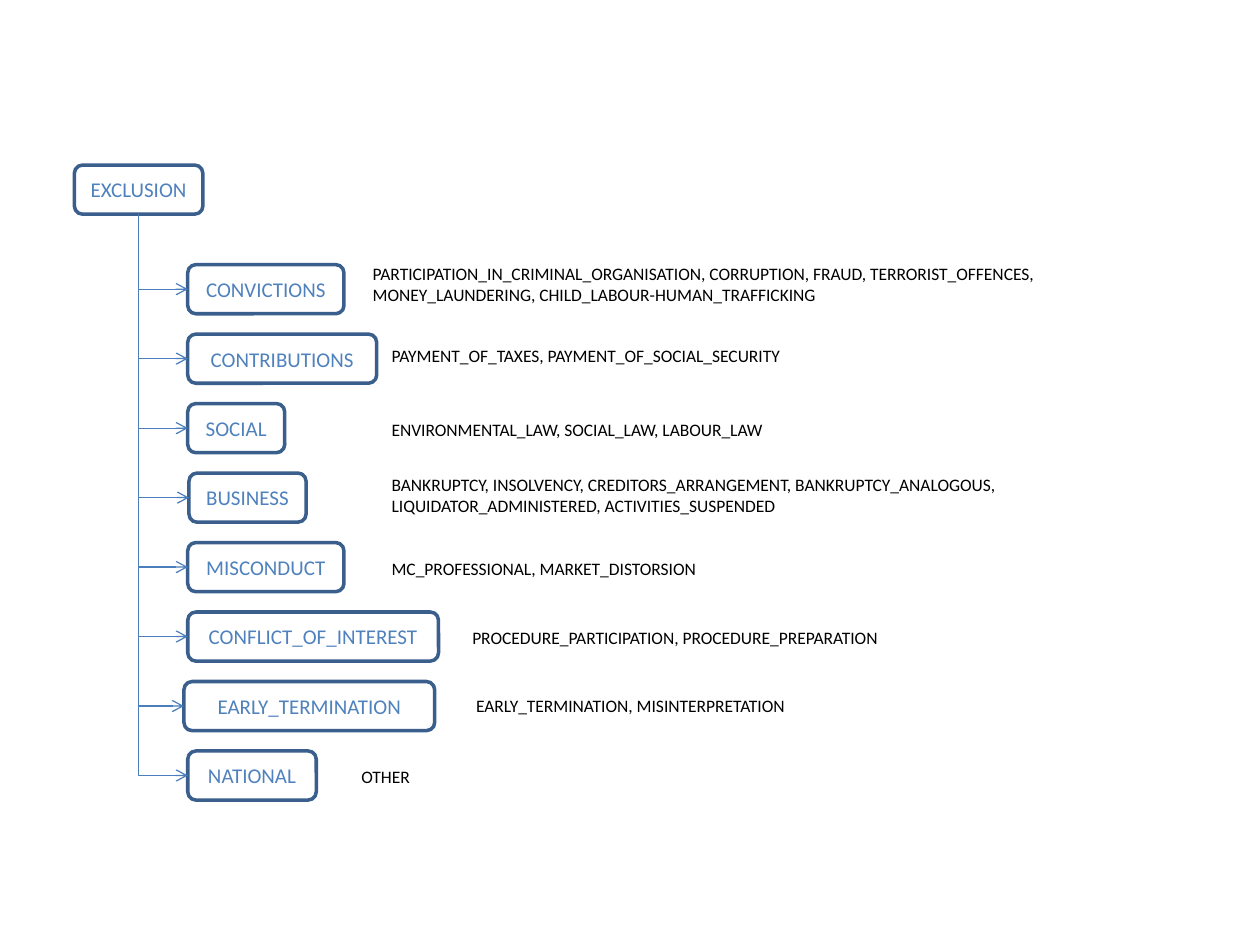
import dataclasses

import lxml.etree
import pptx
import pptx.dml.color
import pptx.enum.shapes
import pptx.enum.text
import pptx.oxml.ns
import pptx.util
from pptx.util import Inches


@dataclasses.dataclass(frozen=True)
class Theme:
    font: str = "Calibri"
    box_size: int = 12
    note_size: int = 10
    box_text: str = "4F81BD"
    box_line: str = "3A5F8C"
    connector: str = "4B7EBC"
    note_text: str = "000000"


theme = Theme()
color = pptx.dml.color.RGBColor.from_string
qn = pptx.oxml.ns.qn

BOX_HEIGHT = 0.39
FIRST_TOP, LAST_TOP = 2.1, 5.96

# Criterion: name, box left, box width, note left, note top, note width, note lines
criteria = [
    ("CONVICTIONS", 1.49, 1.24, 2.86, 2.04, 5.6,
     ["PARTICIPATION_IN_CRIMINAL_ORGANISATION, CORRUPTION, FRAUD, TERRORIST_OFFENCES,",
      "MONEY_LAUNDERING, CHILD_LABOUR-HUMAN_TRAFFICKING"]),
    ("CONTRIBUTIONS", 1.49, 1.5, 3.01, 2.69, 3.38,
     ["PAYMENT_OF_TAXES, PAYMENT_OF_SOCIAL_SECURITY"]),
    ("SOCIAL", 1.49, 0.77, 3.01, 3.28, 3.24,
     ["ENVIRONMENTAL_LAW, SOCIAL_LAW, LABOUR_LAW"]),
    ("BUSINESS", 1.5, 0.93, 3.01, 3.71, 5.16,
     ["BANKRUPTCY, INSOLVENCY, CREDITORS_ARRANGEMENT, BANKRUPTCY_ANALOGOUS,",
      "LIQUIDATOR_ADMINISTERED, ACTIVITIES_SUSPENDED"]),
    ("MISCONDUCT", 1.49, 1.24, 3.01, 4.38, 2.66,
     ["MC_PROFESSIONAL, MARKET_DISTORSION"]),
    ("CONFLICT_OF_INTEREST", 1.49, 1.99, 3.65, 4.93, 3.57,
     ["PROCEDURE_PARTICIPATION, PROCEDURE_PREPARATION"]),
    ("EARLY_TERMINATION", 1.46, 1.99, 3.68, 5.47, 2.73,
     ["EARLY_TERMINATION, MISINTERPRETATION"]),
    ("NATIONAL", 1.49, 1.02, 2.77, 6.03, 0.59, ["OTHER"]),
]

presentation = pptx.Presentation()
presentation.slide_width, presentation.slide_height = Inches(10), Inches(7.5)
slide = presentation.slides.add_slide(presentation.slide_layouts[6])


def add_box(name, left, top, width):
    shape = slide.shapes.add_shape(
        pptx.enum.shapes.MSO_SHAPE.ROUNDED_RECTANGLE,
        Inches(left), Inches(top), Inches(width), Inches(BOX_HEIGHT))
    shape.shadow.inherit = False
    shape.fill.background()
    shape.line.color.rgb = color(theme.box_line)
    shape.line.width = pptx.util.Pt(2)
    shape.text_frame.vertical_anchor = pptx.enum.text.MSO_ANCHOR.MIDDLE
    shape.text_frame.text = name
    paragraph = shape.text_frame.paragraphs[0]
    paragraph.alignment = pptx.enum.text.PP_ALIGN.CENTER
    paragraph.font.name = theme.font
    paragraph.font.size = pptx.util.Pt(theme.box_size)
    paragraph.font.color.rgb = color(theme.box_text)
    return shape


def add_branch(parent, child):
    start_x, start_y = parent.left + parent.width // 2, parent.top + parent.height
    end_x, end_y = child.left, child.top + child.height // 2
    connector = slide.shapes.add_connector(
        pptx.enum.shapes.MSO_CONNECTOR.ELBOW, start_x, start_y, end_x, end_y)
    connector.begin_connect(parent, 2)
    connector.end_connect(child, 1)

    # A single bend, down then right: a quarter turn about the midpoint
    run, drop = end_x - start_x, end_y - start_y
    connector.left = (start_x + end_x - drop) // 2
    connector.top = (start_y + end_y - run) // 2
    connector.width, connector.height = drop, run
    properties = connector._element.spPr
    properties.find(qn("a:prstGeom")).set("prst", "bentConnector2")
    transform = properties.find(qn("a:xfrm"))
    transform.set("rot", "16200000")
    transform.set("flipH", "1")

    connector.line.color.rgb = color(theme.connector)
    connector.line.width = pptx.util.Pt(0.75)
    line = properties.find(qn("a:ln"))
    lxml.etree.SubElement(line, qn("a:tailEnd"), type="arrow")
    lxml.etree.SubElement(properties, qn("a:effectLst"))


# Root of the tree
root = add_box("EXCLUSION", 0.59, 1.31, 1.02)

# Criteria with their branches and notes
row_pitch = (LAST_TOP - FIRST_TOP) / (len(criteria) - 1)
for row, (name, left, width, note_left, note_top, note_width, lines) in enumerate(criteria):
    box = add_box(name, left, FIRST_TOP + row * row_pitch, width)
    add_branch(root, box)

    note = slide.shapes.add_textbox(
        Inches(note_left), Inches(note_top),
        Inches(note_width), Inches(0.1 + 0.17 * len(lines)))
    note.text_frame.word_wrap = False
    note.text_frame.auto_size = pptx.enum.text.MSO_AUTO_SIZE.SHAPE_TO_FIT_TEXT
    note.text_frame.text = "\n".join(lines)
    for paragraph in note.text_frame.paragraphs:
        paragraph.font.name = theme.font
        paragraph.font.size = pptx.util.Pt(theme.note_size)
        paragraph.font.color.rgb = color(theme.note_text)

presentation.save("out.pptx")
